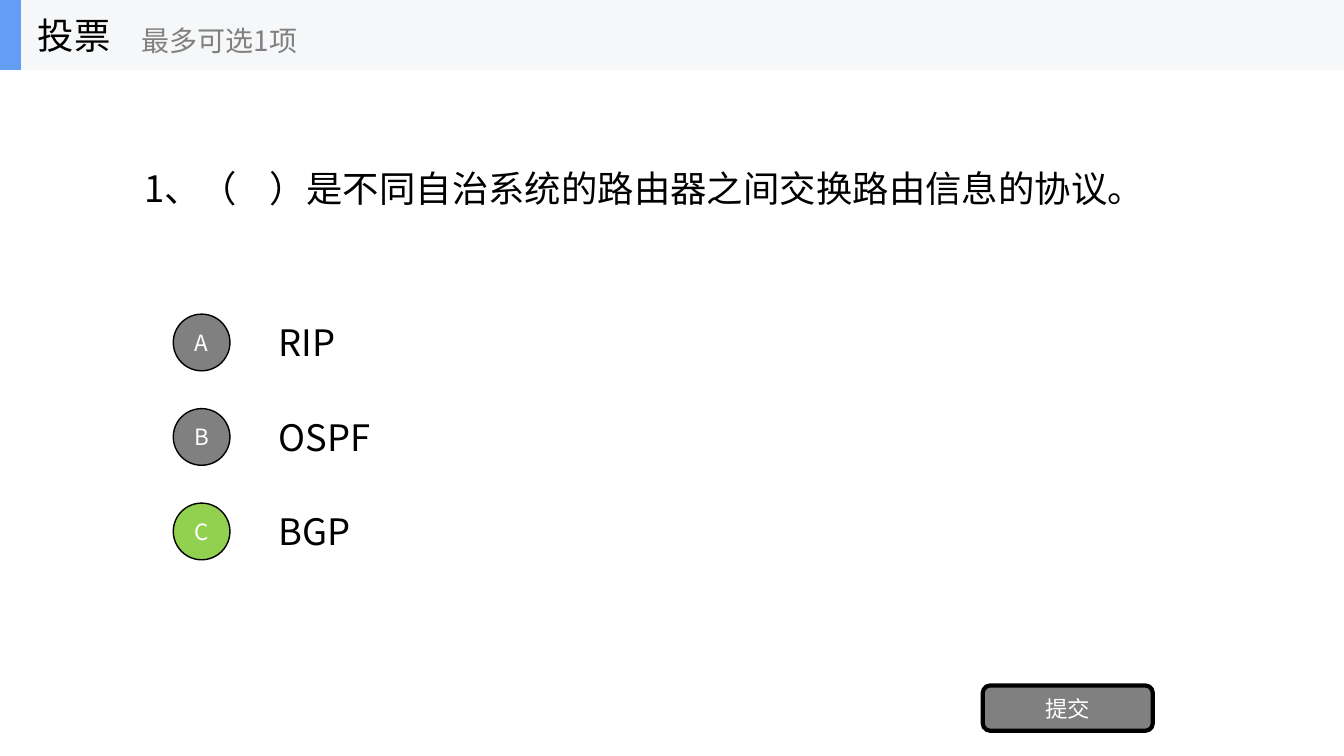
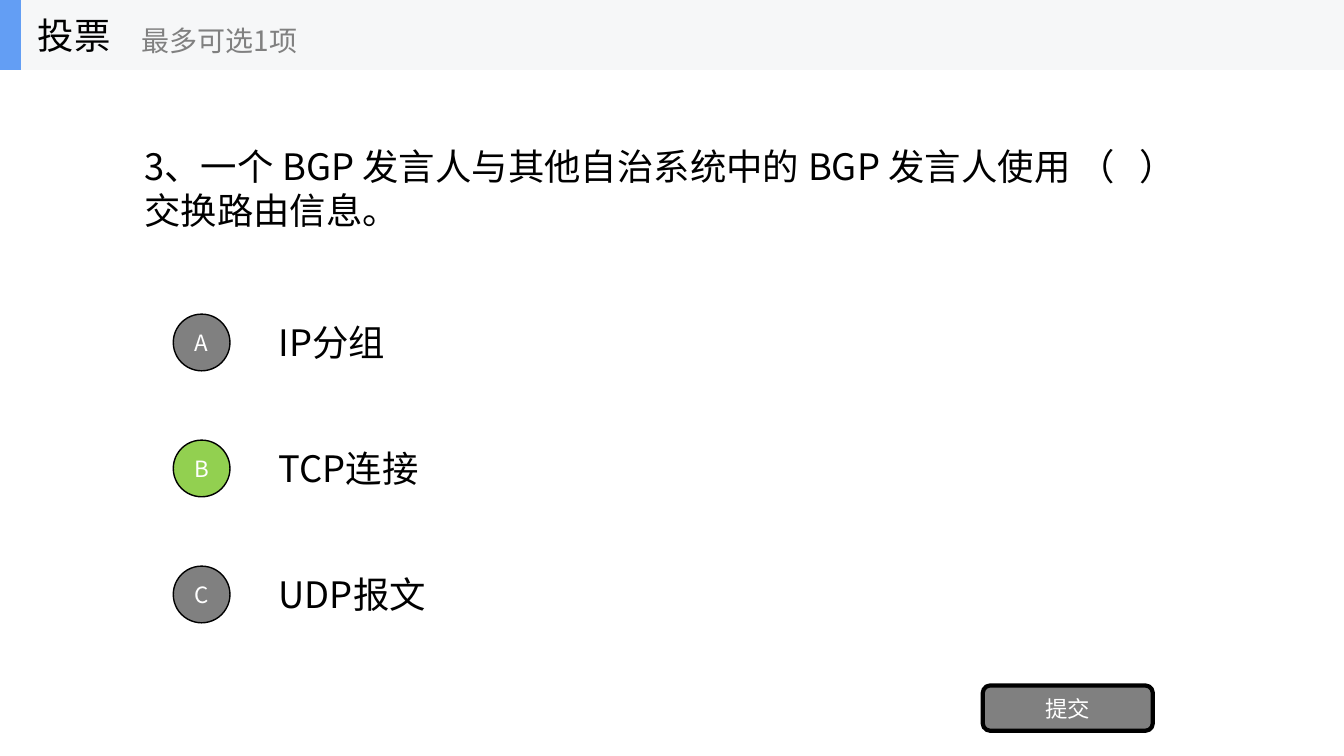
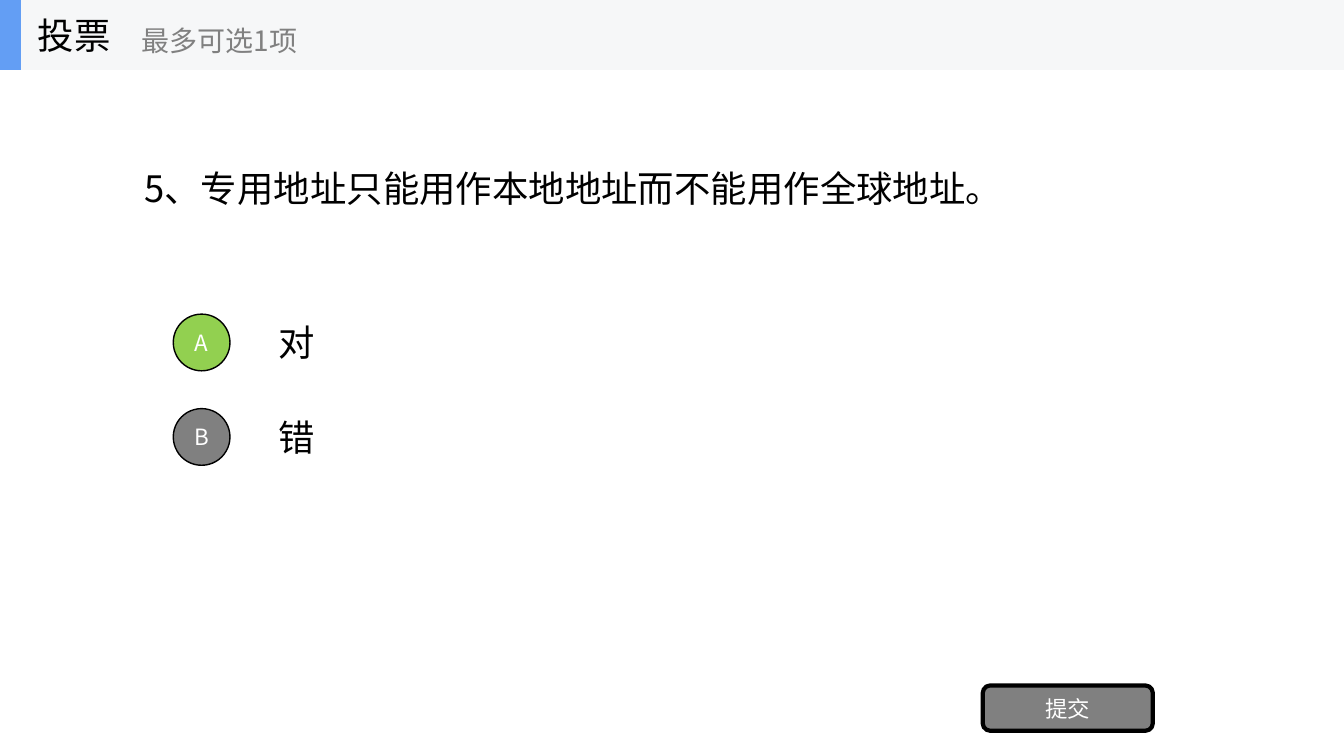
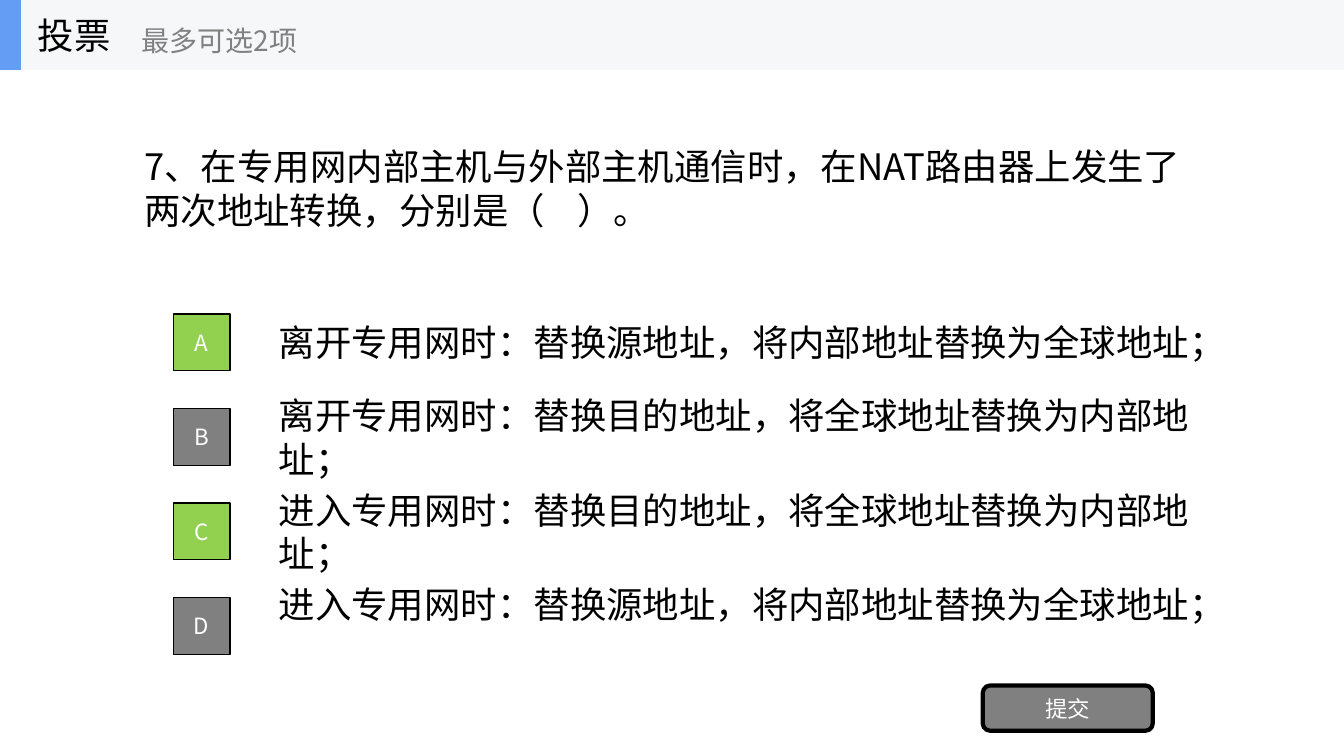
import pptx
import pptx.util
import pptx.dml.color
import pptx.enum.shapes
import pptx.enum.text
import pptx.oxml.ns
import lxml.etree

Pt = pptx.util.Pt
Kind = pptx.enum.shapes.MSO_SHAPE
Align = pptx.enum.text.PP_ALIGN
Anchor = pptx.enum.text.MSO_ANCHOR

# Shared style
FONT = "Noto Sans CJK SC"
BLACK, WHITE, GREY = "000000", "FFFFFF", "808080"
GREEN, BLUE, BAND = "92D050", "639EF4", "F6F7F8"
BIG, MID, SMALL = 26, 20, 16
WIDE, HIGH = 960, 540
HEAD = (0, 0, WIDE, 50)
ASK = (96, 50, 768, 168)
FIRST = (123.75, 219.4, 740.25, 50.4)
SUBMIT = (702, 489.6, 121.5, 32.4)
BADGE = 40.5
INDENT = 68.25

# Question, choices, right letters, most picks, row step, lift of last text
POLLS = [
    ("1、（    ）是不同自治系统的路由器之间交换路由信息的协议。",
     ["RIP", "OSPF", "BGP"], "C", 1, 67.5, 0),
    ("3、一个 BGP 发言人与其他自治系统中的 BGP 发言人使用 （   ）交换路由信息。",
     ["IP分组", "TCP连接", "UDP报文"], "B", 1, 90, 0),
    ("5、专用地址只能用作本地地址而不能用作全球地址。",
     ["对", "错"], "A", 1, 67.5, 0),
    ("7、在专用网内部主机与外部主机通信时，在NAT路由器上发生了两次地址转换，分别是（    ）。",
     ["离开专用网时：替换源地址，将内部地址替换为全球地址；",
      "离开专用网时：替换目的地址，将全球地址替换为内部地址；",
      "进入专用网时：替换目的地址，将全球地址替换为内部地址；",
      "进入专用网时：替换源地址，将内部地址替换为全球地址；"],
     "AC", 2, 67.5, 15.5),
]


def paint(part, code):
    """Give a fill or a font its colour."""
    if hasattr(part, "solid"):
        part.solid()
        part = part.fore_color
    else:
        part = part.color
    part.rgb = pptx.dml.color.RGBColor.from_string(code)


def write(shape, text, size, code, align=Align.LEFT, wrap=True):
    frame = shape.text_frame
    frame.word_wrap = wrap
    frame.vertical_anchor = Anchor.MIDDLE
    para = frame.paragraphs[0]
    para.alignment = align
    run = para.add_run()
    run.text = text
    run.font.size = Pt(size)
    run.font.name = FONT
    paint(run.font, code)
    # East Asian typeface
    tag = pptx.oxml.ns.qn("a:ea")
    lxml.etree.SubElement(run.font._element, tag).set("typeface", FONT)


def label(parts, box, text, size=BIG, code=BLACK, wrap=True):
    shape = parts.add_textbox(*map(Pt, box))
    write(shape, text, size, code, wrap=wrap)


def block(parts, kind, box, fill, line=0, text=""):
    shape = parts.add_shape(kind, *map(Pt, box))
    shape.shadow.inherit = False
    paint(shape.fill, fill)
    if line:
        paint(shape.line.fill, BLACK)
        shape.line.width = Pt(line)
    else:
        shape.line.fill.background()
    if text:
        write(shape, text, SMALL, WHITE, Align.CENTER)


def header(slide, box, most):
    x, y, w, h = box
    parts = slide.shapes.add_group_shape().shapes
    block(parts, Kind.RECTANGLE, box, BAND)
    block(parts, Kind.RECTANGLE, (x, y, 15, h), BLUE)
    label(parts, (x + 20, y, 150, h), "投票", wrap=False)
    label(parts, (x + 94, y + 9, 180, 40), f"最多可选{most}项", MID, GREY, False)


def choice(slide, box, kind, mark, text, right, lift):
    x, y, w, h = box
    label(slide.shapes, (x + INDENT, y - lift, w - INDENT, h), text)
    spot = (x, y + (h - BADGE) / 2, BADGE, BADGE)
    block(slide.shapes, kind, spot, GREEN if right else GREY, 1, mark)


def poll(slide, ask, items, right, most, step, lift):
    label(slide.shapes, ASK, ask)
    kind = Kind.OVAL if most == 1 else Kind.RECTANGLE
    x, y, w, h = FIRST
    for i, (mark, text) in enumerate(zip("ABCD", items)):
        rise = lift if i == len(items) - 1 else 0
        choice(slide, (x, y + i * step, w, h), kind, mark, text,
               mark in right, rise)
    block(slide.shapes, Kind.ROUNDED_RECTANGLE, SUBMIT, GREY, 3, "提交")
    header(slide, HEAD, most)


def main():
    deck = pptx.Presentation()
    deck.slide_width, deck.slide_height = Pt(WIDE), Pt(HIGH)
    for item in POLLS:
        poll(deck.slides.add_slide(deck.slide_layouts[6]), *item)
    deck.save("out.pptx")


if __name__ == "__main__":
    main()
